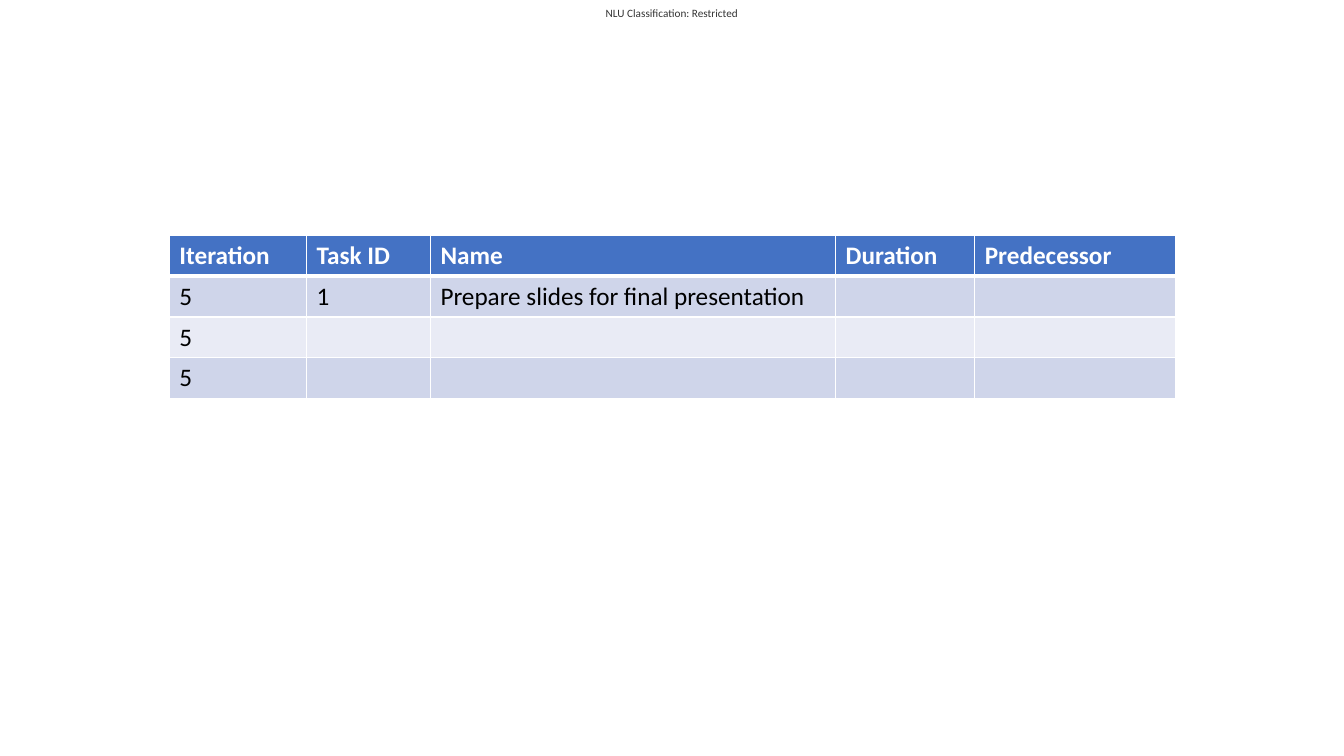
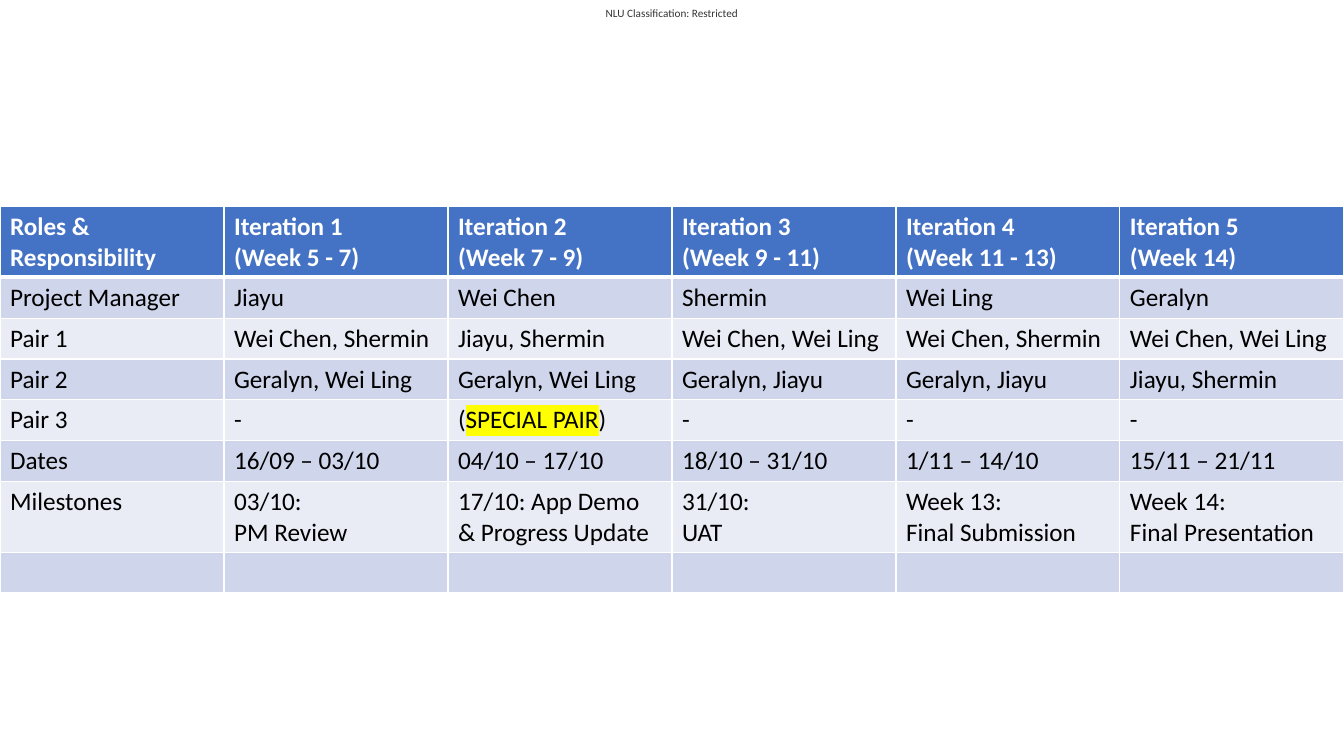
from lxml import etree
from pptx import Presentation
from pptx.dml.color import RGBColor
from pptx.enum.text import MSO_ANCHOR, PP_ALIGN
from pptx.oxml.ns import qn
from pptx.util import Pt

CENTER = PP_ALIGN.CENTER
MIDDLE = MSO_ANCHOR.MIDDLE
BLANK_LAYOUT = 6
PAGE_WIDTH, PAGE_HEIGHT = 960, 540
ROW_HEIGHT, TALL_ROW_HEIGHT = 29.2, 50.4

COLORS = {
    "header": "4472C4",
    "odd_row": "CFD5EA",
    "even_row": "E9EBF5",
    "white": "FFFFFF",
    "black": "000000",
    "label": "333333",
    "highlight": "FFFF00",
}


class PageBuilder:
    """Holds the shared style and the current slide."""

    font = "Calibri"

    def __init__(self):
        self.deck = Presentation()
        self.deck.slide_width = Pt(PAGE_WIDTH)
        self.deck.slide_height = Pt(PAGE_HEIGHT)
        self.page = None

    def new_page(self):
        self.page = self.deck.slides.add_slide(self.deck.slide_layouts[BLANK_LAYOUT])
        self.classification("NLU Classification: Restricted")

    def style(self, frame, size, color, bold=False):
        for para in frame.paragraphs:
            for span in para.runs:
                span.font.name = self.font
                span.font.size = Pt(size)
                span.font.bold = bold
                span.font.color.rgb = RGBColor.from_string(COLORS[color])

    def classification(self, text):
        width, height = 117, 18
        box = self.page.shapes.add_textbox(
            Pt((PAGE_WIDTH - width) / 2), 0, Pt(width), Pt(height))
        frame = box.text_frame
        frame.word_wrap = False
        frame.margin_top = frame.margin_bottom = 0
        frame.vertical_anchor = MIDDLE
        frame.text = text
        frame.paragraphs[0].alignment = CENTER
        self.style(frame, 8, "label")

    def table(self, left, top, widths, rows, tall_rows=(), marked=None):
        heights = [TALL_ROW_HEIGHT if index in tall_rows else ROW_HEIGHT
                   for index in range(len(rows))]
        table = self.page.shapes.add_table(
            len(rows), len(widths), Pt(left), Pt(top),
            Pt(sum(widths)), Pt(sum(heights))).table
        for column, width in zip(table.columns, widths):
            column.width = Pt(width)
        for row, height in zip(table.rows, heights):
            row.height = Pt(height)
        for row_index, texts in enumerate(rows):
            for column_index, text in enumerate(texts):
                cell = table.cell(row_index, column_index)
                self.fill_cell(cell, row_index, text, marked)

    def fill_cell(self, cell, row_index, text, marked):
        is_header = row_index == 0
        band = "header" if is_header else "odd_row" if row_index % 2 else "even_row"
        cell.fill.solid()
        cell.fill.fore_color.rgb = RGBColor.from_string(COLORS[band])
        self.borders(cell, top=3 if row_index == 1 else 1, bottom=3 if is_header else 1)
        has_mark = marked is not None and marked in text
        if has_mark:
            para = cell.text_frame.paragraphs[0]
            before, after = text.split(marked)
            for part in (before, marked, after):
                para.add_run().text = part
        else:
            cell.text_frame.text = text
        self.style(cell.text_frame, 18, "white" if is_header else "black", is_header)
        if has_mark:
            self.highlight(para.runs[1])

    def borders(self, cell, top, bottom):
        properties = cell._tc.get_or_add_tcPr()
        sides = (("a:lnL", 1), ("a:lnR", 1), ("a:lnT", top), ("a:lnB", bottom))
        for position, (tag, width) in enumerate(sides):
            line = etree.Element(qn(tag), w=str(Pt(width)))
            fill = etree.SubElement(line, qn("a:solidFill"))
            etree.SubElement(fill, qn("a:srgbClr"), val=COLORS["white"])
            properties.insert(position, line)

    def highlight(self, span):
        mark = etree.Element(qn("a:highlight"))
        etree.SubElement(mark, qn("a:srgbClr"), val=COLORS["highlight"])
        span._r.get_or_add_rPr().find(qn("a:solidFill")).addnext(mark)


def main():
    builder = PageBuilder()

    # Task list of the last iteration
    builder.new_page()
    builder.table(121, 168, [97.9, 88.6, 289.4, 99.4, 143.3], [
        ["Iteration", "Task ID", "Name", "Duration", "Predecessor"],
        ["5", "1", "Prepare slides for final presentation", "", ""],
        ["5", "", "", "", ""],
        ["5", "", "", "", ""],
    ])

    # Roles and milestones per iteration
    builder.new_page()
    weeks = ["Week 5 - 7", "Week 7 - 9", "Week 9 - 11", "Week 11 - 13", "Week 14"]
    header = ["Roles & Responsibility"] + [
        f"Iteration {number}\n({span})" for number, span in enumerate(weeks, 1)]
    columns = len(header)
    builder.table(0, 147.6, [PAGE_WIDTH / columns] * columns, [
        header,
        ["Project Manager", "Jiayu", "Wei Chen", "Shermin", "Wei Ling", "Geralyn"],
        ["Pair 1", "Wei Chen, Shermin", "Jiayu, Shermin", "Wei Chen, Wei Ling",
         "Wei Chen, Shermin", "Wei Chen, Wei Ling"],
        ["Pair 2", "Geralyn, Wei Ling", "Geralyn, Wei Ling", "Geralyn, Jiayu",
         "Geralyn, Jiayu", "Jiayu, Shermin"],
        ["Pair 3", "-", "(SPECIAL PAIR)", "-", "-", "-"],
        ["Dates", "16/09 – 03/10", "04/10 – 17/10", "18/10 – 31/10",
         "1/11 – 14/10", "15/11 – 21/11"],
        ["Milestones", "03/10:\nPM Review", "17/10: App Demo & Progress Update",
         "31/10:\nUAT", "Week 13:\nFinal Submission", "Week 14:\nFinal Presentation"],
        [""] * columns,
    ], tall_rows=(0, 6), marked="SPECIAL PAIR")

    builder.deck.save("out.pptx")


if __name__ == "__main__":
    main()
